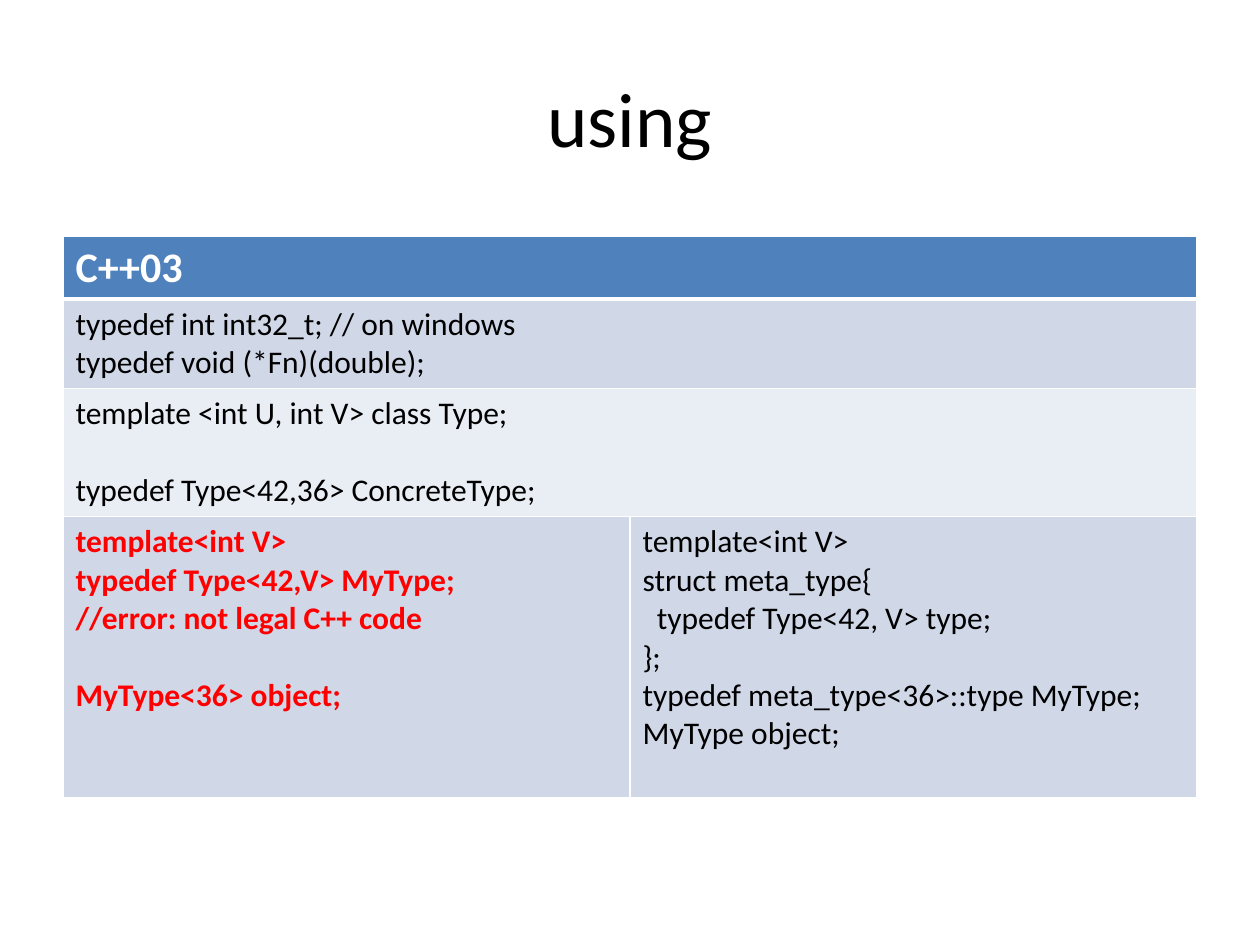
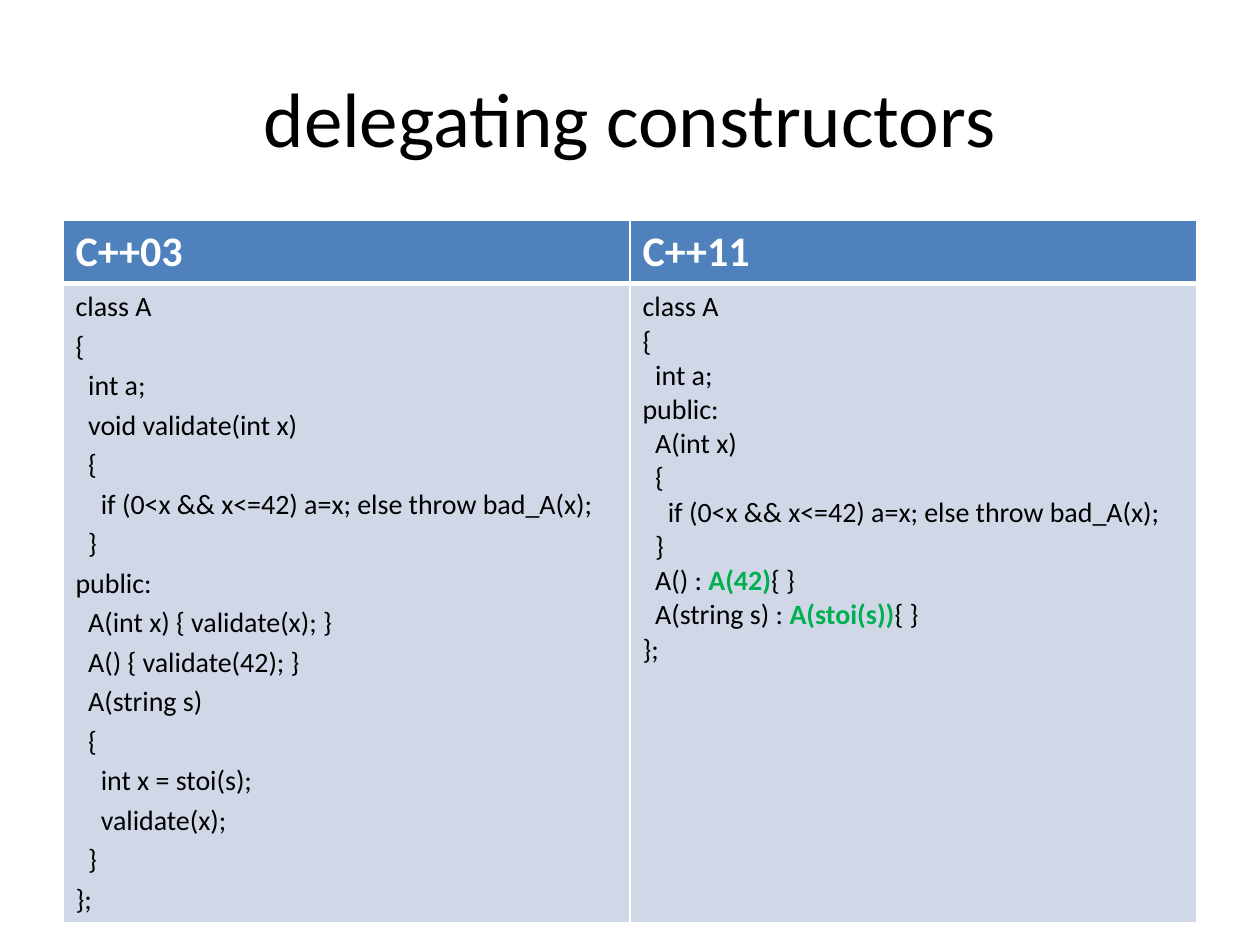
from lxml import etree
from pptx import Presentation, dml, util as u
from pptx.dml import color
from pptx.enum import text
from pptx.oxml import ns

FONT = "Calibri"
BLACK, WHITE, RED, GREEN = "000000", "FFFFFF", "FF0000", "00B050"
HEADER, BAND, LIGHT = "4F81BD", "D0D8E8", "E9EDF4"
LEFT, WIDTH = 1.27, 22.86

TYPEDEFS = """typedef int int32_t; // on windows
typedef void (*Fn)(double);"""

CONCRETE = """template <int U, int V> class Type;

typedef Type<42,36> ConcreteType;"""

ILLEGAL = """template<int V>
typedef Type<42,V> MyType;
//error: not legal C++ code

MyType<36> object;"""

META_TYPE = """template<int V>
struct meta_type{
  typedef Type<42, V> type;
};
typedef meta_type<36>::type MyType;
MyType object;"""

VALIDATING = """class A
{
  int a;
  void validate(int x)
  {
    if (0<x && x<=42) a=x; else throw bad_A(x);
  }
public:
  A(int x) { validate(x); }
  A() { validate(42); }
  A(string s)
  {
    int x = stoi(s);
    validate(x);
  }
};"""

DELEGATING = """class A
{
  int a;
public:
  A(int x)
  {
    if (0<x && x<=42) a=x; else throw bad_A(x);
  }
  A() : |A(42)|{ }
  A(string s) : |A(stoi(s))|{ }
};"""


def rgb(value):
    return color.RGBColor.from_string(value)


class Deck:
    def __init__(self):
        self.prs = Presentation()
        self.prs.slide_width, self.prs.slide_height = u.Cm(25.4), u.Cm(19.05)
        self.s = None

    def slide(self, title):
        self.s = self.prs.slides.add_slide(self.prs.slide_layouts[6])
        sp = self.s.shapes.add_textbox(u.Cm(LEFT), u.Cm(0.76), u.Cm(WIDTH), u.Cm(3.18))
        tf = sp.text_frame
        tf.word_wrap = True
        tf.vertical_anchor = text.MSO_ANCHOR.MIDDLE
        tf.text = title
        p = tf.paragraphs[0]
        p.alignment = text.PP_ALIGN.CENTER
        self.style(p.runs[0], 44)

    def style(self, r, size, colour=BLACK, bold=False):
        r.font.name, r.font.size, r.font.bold = FONT, u.Pt(size), bold
        r.font.color.rgb = rgb(colour)

    def table(self, top, heights):
        """Add a two-column table with white rules, heavier under the header."""
        tbl = self.s.shapes.add_table(len(heights), 2, u.Cm(LEFT), u.Cm(top),
                                      u.Cm(WIDTH), u.Cm(sum(heights))).table
        for row, height in zip(tbl.rows, heights):
            row.height = u.Cm(height)
        for i, row in enumerate(tbl.rows):
            for cell in row.cells:
                self.borders(cell, top=3 if i == 1 else 1, bottom=3 if i == 0 else 1)
        return tbl

    def borders(self, cell, top, bottom):
        tc_pr = cell._tc.get_or_add_tcPr()
        for side, width in zip("LRTB", (1, 1, top, bottom)):
            ln = etree.SubElement(tc_pr, ns.qn(f"a:ln{side}"), w=str(u.Pt(width)))
            fill = etree.SubElement(ln, ns.qn("a:solidFill"))
            etree.SubElement(fill, ns.qn("a:srgbClr"), val=WHITE)

    def cell(self, cell, code, fill=BAND, size=18, colour=BLACK, bold=False, gap=0):
        """Fill a cell: an empty line becomes spacing, text between bars is highlighted."""
        cell.fill.solid()
        cell.fill.fore_color.rgb = rgb(fill)
        tf = cell.text_frame
        p, space = tf.paragraphs[0], 0
        for i, line in enumerate(code.split("\n")):
            if not line:
                space = size * 1.22
                continue
            if i:
                p = tf.add_paragraph()
                p.space_before = u.Pt(gap + space)
            space = 0
            for j, part in enumerate(line.split("|")):
                r = p.add_run()
                r.text = part
                if j % 2:
                    self.style(r, size, GREEN, True)
                else:
                    self.style(r, size, colour, bold)

    def header(self, cell, label):
        self.cell(cell, label, HEADER, 24, WHITE, True)


def using(deck):
    deck.slide("using")
    tbl = deck.table(4.76, (1.27, 1.8, 2.58, 5.67))
    for row in range(3):
        tbl.cell(row, 0).merge(tbl.cell(row, 1))
    deck.header(tbl.cell(0, 0), "C++03")
    deck.cell(tbl.cell(1, 0), TYPEDEFS)
    deck.cell(tbl.cell(2, 0), CONCRETE, LIGHT)
    deck.cell(tbl.cell(3, 0), ILLEGAL, colour=RED, bold=True)
    deck.cell(tbl.cell(3, 1), META_TYPE)


def delegating_constructors(deck):
    deck.slide("delegating constructors")
    tbl = deck.table(4.45, (1.27, 12.88))
    columns = (("C++03", VALIDATING, 3), ("C++11", DELEGATING, 0))
    for col, (label, code, gap) in enumerate(columns):
        deck.header(tbl.cell(0, col), label)
        deck.cell(tbl.cell(1, col), code, size=16, gap=gap)


def main():
    deck = Deck()
    using(deck)
    delegating_constructors(deck)
    deck.prs.save("out.pptx")


if __name__ == "__main__":
    main()
